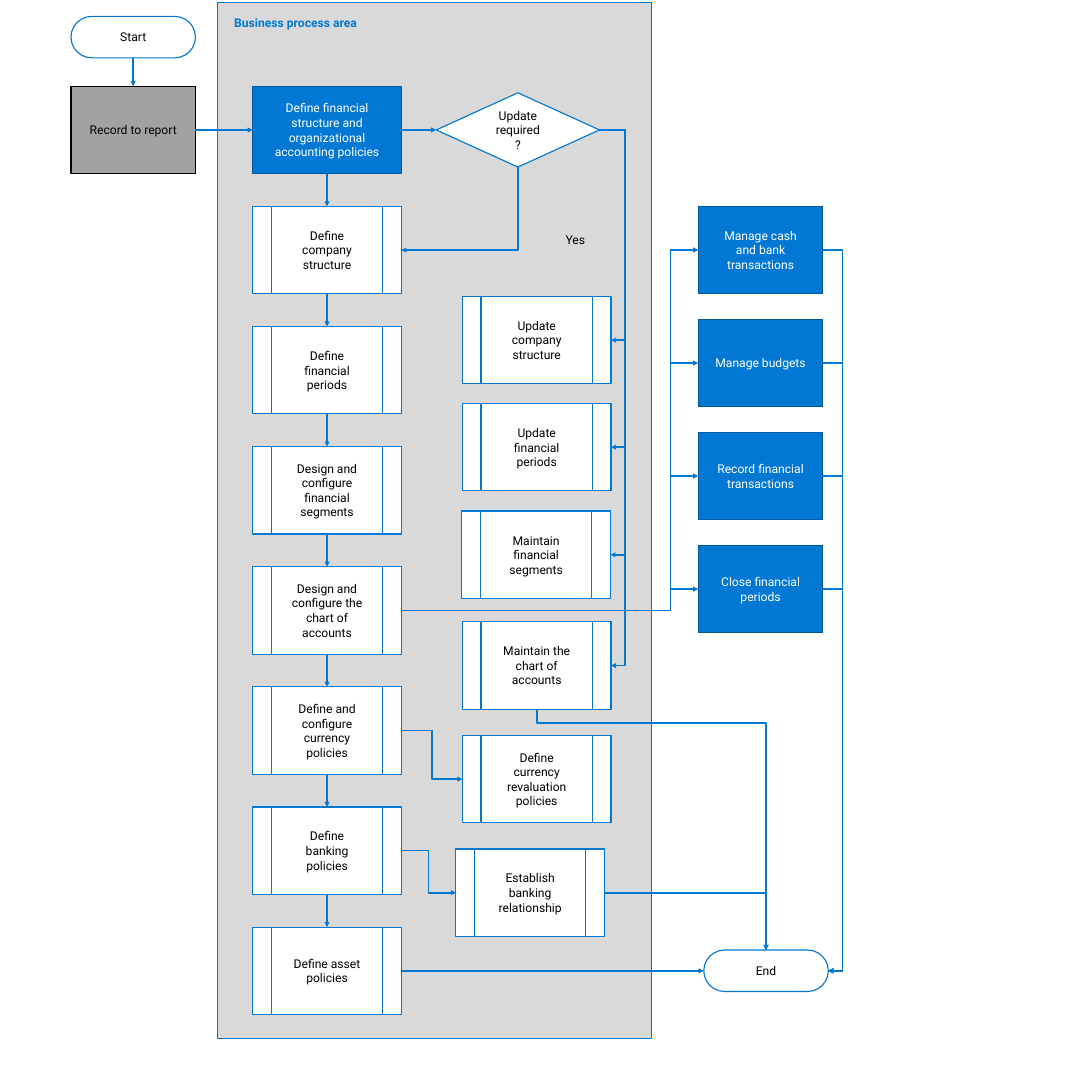
from dataclasses import dataclass

from pptx import Presentation
from pptx.dml.color import RGBColor
from pptx.enum.shapes import MSO_CONNECTOR, MSO_SHAPE
from pptx.enum.text import MSO_ANCHOR, PP_ALIGN
from pptx.oxml.ns import qn
from pptx.util import Inches, Pt
from lxml.etree import SubElement


@dataclass(frozen=True)
class Theme:
    font: str = "Roboto"
    size: float = 16
    outline: float = 1.5
    arrow: float = 2.25
    blue: str = "0078D4"
    dark_blue: str = "00599D"
    area: str = "D9D9D9"
    grey: str = "A2A2A2"
    white: str = "FFFFFF"
    black: str = "000000"


theme = Theme()
TOP, LEFT, BOTTOM, RIGHT = range(4)

presentation = Presentation()
presentation.slide_width = Inches(20)
presentation.slide_height = Inches(20)
slide = presentation.slides.add_slide(presentation.slide_layouts[6])


def add_box(kind, text, left, top, width, height, fill=theme.white, line=theme.blue,
            color=theme.black, align=PP_ALIGN.CENTER, anchor=MSO_ANCHOR.MIDDLE, bold=False):
    shape = slide.shapes.add_shape(kind, Inches(left), Inches(top), Inches(width), Inches(height))
    shape.shadow.inherit = False
    shape.fill.solid()
    shape.fill.fore_color.rgb = RGBColor.from_string(fill)
    shape.line.color.rgb = RGBColor.from_string(line)
    shape.line.width = Pt(theme.outline)
    frame = shape.text_frame
    frame.word_wrap = True
    frame.vertical_anchor = anchor
    frame.margin_left = frame.margin_right = Inches(0.3)
    frame.margin_top = frame.margin_bottom = Inches(0.24)
    paragraph = frame.paragraphs[0]
    paragraph.alignment = align
    run = paragraph.add_run()
    run.text = text
    run.font.name = theme.font
    run.font.size = Pt(theme.size)
    run.font.bold = bold
    run.font.color.rgb = RGBColor.from_string(color)
    return shape


def connect(start, start_site, end, end_site, route="straight", bend=None):
    kind = MSO_CONNECTOR.STRAIGHT if route == "straight" else MSO_CONNECTOR.ELBOW
    connector = slide.shapes.add_connector(kind, 0, 0, 0, 0)
    connector.begin_connect(start, start_site)
    connector.end_connect(end, end_site)
    connector.line.color.rgb = RGBColor.from_string(theme.blue)
    connector.line.width = Pt(theme.arrow)
    properties = connector._element.spPr
    SubElement(properties.find(qn("a:ln")), qn("a:tailEnd"), type="triangle")
    SubElement(properties, qn("a:effectLst"))
    geometry = properties.find(qn("a:prstGeom"))
    across = connector.end_x - connector.begin_x
    down = connector.end_y - connector.begin_y
    vertical = start_site == BOTTOM
    if route == "corner":
        geometry.set("prst", "bentConnector2")
    if bend is not None:
        origin, span = (connector.begin_y, down) if vertical else (connector.begin_x, across)
        share = round((Inches(bend) - origin) / span * 100000)
        SubElement(geometry.find(qn("a:avLst")), qn("a:gd"), name="adj1", fmla=f"val {share}")
    if route != "straight" and vertical:
        middle_x = connector.begin_x + across // 2
        middle_y = connector.begin_y + down // 2
        connector.width, connector.height = abs(down), abs(across)
        connector.left = middle_x - connector.width // 2
        connector.top = middle_y - connector.height // 2
        transform = properties.find(qn("a:xfrm"))
        transform.set("rot", str((270 if across > 0 else 90) * 60000))
        transform.set("flipH", "1" if across > 0 else "0")
        transform.set("flipV", "0")


add_box(MSO_SHAPE.RECTANGLE, "Business process area", 3.99, 0.04, 7.94, 18.98, fill=theme.area,
        color=theme.blue, align=PP_ALIGN.LEFT, anchor=MSO_ANCHOR.TOP, bold=True)

start = add_box(MSO_SHAPE.ROUNDED_RECTANGLE, "Start", 1.3, 0.3, 2.28, 0.76)
finish = add_box(MSO_SHAPE.ROUNDED_RECTANGLE, "End", 12.89, 17.4, 2.28, 0.76)
for terminator in (start, finish):
    terminator.adjustments[0] = 0.5

report = add_box(MSO_SHAPE.RECTANGLE, "Record to report", 1.3, 1.58, 2.28, 1.6,
                 fill=theme.grey, line=theme.black)
policies = add_box(MSO_SHAPE.RECTANGLE,
                   "Define financial structure and organizational accounting policies",
                   4.63, 1.58, 2.72, 1.6, fill=theme.blue, line=theme.dark_blue, color=theme.white)
decision = add_box(MSO_SHAPE.DIAMOND, "Update required?", 7.99, 1.7, 2.99, 1.36)

definition_names = [
    "Define company structure",
    "Define financial periods",
    "Design and configure financial segments",
    "Design and configure the chart of accounts",
    "Define and configure currency policies",
    "Define banking policies",
    "Define asset policies",
]
definitions = [
    add_box(MSO_SHAPE.FLOWCHART_PREDEFINED_PROCESS, name, 4.63, 3.78 + 2.2 * row, 2.72, 1.6)
    for row, name in enumerate(definition_names)
]
company, periods, segments, accounts, currency, banking, assets = definitions

follow_ups = [
    add_box(MSO_SHAPE.FLOWCHART_PREDEFINED_PROCESS, name, left, top, 2.72, 1.6)
    for name, left, top in [
        ("Update company structure", 8.47, 5.43),
        ("Update financial periods", 8.47, 7.39),
        ("Maintain financial segments", 8.46, 9.36),
        ("Maintain the chart of accounts", 8.47, 11.39),
        ("Define currency revaluation policies", 8.47, 13.47),
        ("Establish banking relationship", 8.35, 15.55),
    ]
]
updates = follow_ups[:4]
revaluation, relationship = follow_ups[4:]

outcome_names = [
    "Manage cash and bank transactions",
    "Manage budgets",
    "Record financial transactions",
    "Close financial periods",
]
outcomes = [
    add_box(MSO_SHAPE.RECTANGLE, name, 12.79, 3.78 + 2.07 * row, 2.28, 1.6,
            fill=theme.blue, line=theme.dark_blue, color=theme.white)
    for row, name in enumerate(outcome_names)
]

answer = slide.shapes.add_textbox(Inches(10.36), Inches(4.25), Inches(0.6), Inches(0.27)).text_frame
answer.word_wrap = True
answer.margin_left = answer.margin_right = answer.margin_top = answer.margin_bottom = 0
answer_run = answer.paragraphs[0].add_run()
answer_run.text = "Yes"
answer_run.font.name = theme.font
answer_run.font.size = Pt(theme.size)
answer_run.font.color.rgb = RGBColor.from_string(theme.black)

connect(start, BOTTOM, report, TOP)
connect(report, RIGHT, policies, LEFT)
connect(policies, RIGHT, decision, LEFT)
for upper, lower in zip([policies] + definitions, definitions):
    connect(upper, BOTTOM, lower, TOP)
connect(decision, BOTTOM, company, RIGHT, "corner")
for update in updates:
    connect(decision, RIGHT, update, RIGHT, "elbow", 11.45)
for outcome in outcomes:
    connect(accounts, RIGHT, outcome, LEFT, "elbow", 12.28)
    connect(outcome, RIGHT, finish, RIGHT, "elbow", 15.43)
connect(currency, RIGHT, revaluation, LEFT, "elbow")
connect(banking, RIGHT, relationship, LEFT, "elbow")
connect(updates[-1], BOTTOM, finish, TOP, "elbow", 13.24)
connect(relationship, RIGHT, finish, TOP, "corner")
connect(assets, RIGHT, finish, LEFT)

presentation.save("out.pptx")
